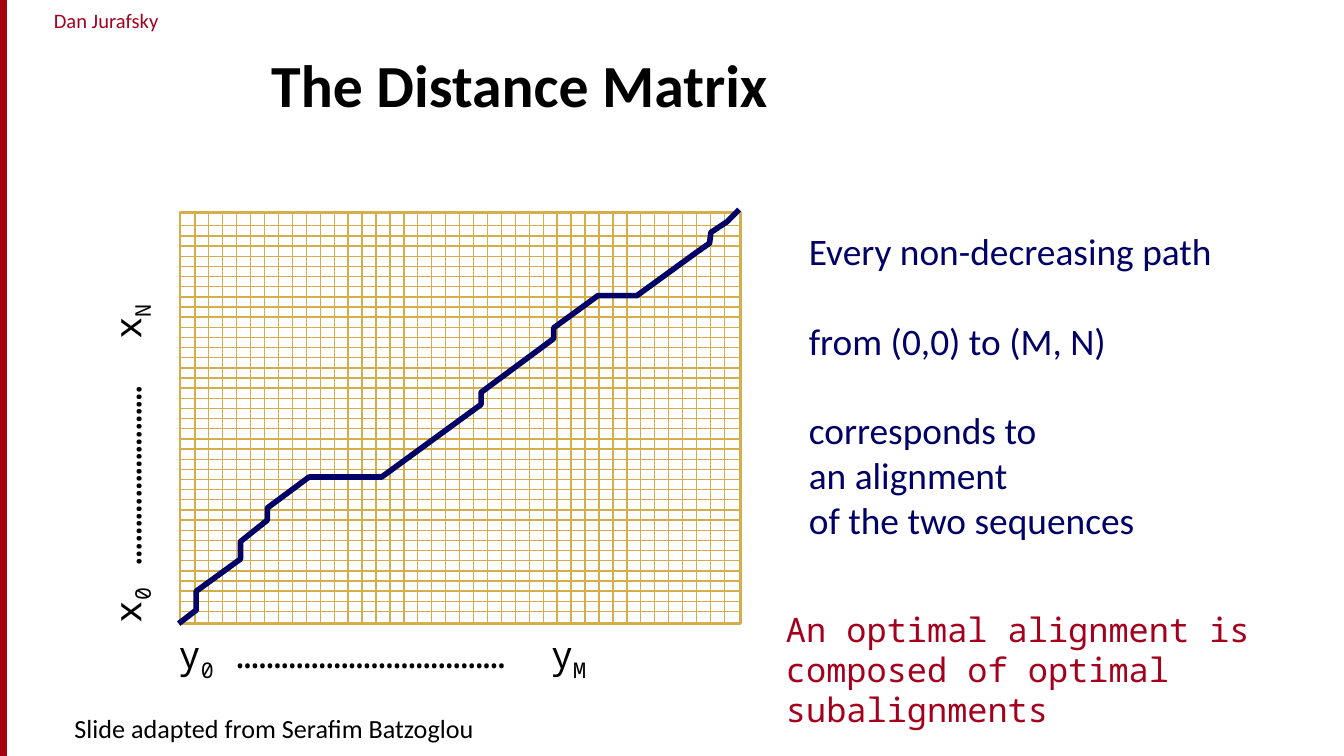
from lxml import etree
from pptx import Presentation
from pptx.dml.color import RGBColor
from pptx.enum.shapes import MSO_CONNECTOR, MSO_SHAPE
from pptx.enum.text import MSO_ANCHOR, PP_ALIGN
from pptx.oxml.ns import qn
from pptx.util import Inches, Pt

BLACK, RED, NAVY, GOLD = "000000", "A4001D", "000066", "D5AE4C"


def color(value):
    return RGBColor.from_string(value)


def add_text(left, top, width, height, paragraphs, size, text_color,
             font="Calibri", bold=False, align=PP_ALIGN.LEFT, tab=None):
    """Each paragraph is (space before, [(text, is subscript), ...])."""
    box = slide.shapes.add_textbox(Inches(left), Inches(top), Inches(width), Inches(height))
    frame = box.text_frame
    frame.word_wrap = True
    for index, (space, runs) in enumerate(paragraphs):
        paragraph = frame.paragraphs[0] if index == 0 else frame.add_paragraph()
        paragraph.alignment = align
        if space:
            paragraph.space_before = Pt(space)
        if tab:
            tabs = etree.SubElement(paragraph._p.get_or_add_pPr(), qn("a:tabLst"))
            etree.SubElement(tabs, qn("a:tab"), pos=str(Inches(tab)), algn="l")
        for text, subscript in runs:
            run = paragraph.add_run()
            run.text = text
            run.font.name = font
            run.font.size = Pt(size)
            run.font.bold = bold
            run.font.color.rgb = color(text_color)
            if subscript:
                run.font._element.set("baseline", "-25000")
    return box


# Widescreen slide, 16 to 9
presentation = Presentation()
presentation.slide_width = Inches(10)
presentation.slide_height = Inches(10) * 9 // 16
slide = presentation.slides.add_slide(presentation.slide_layouts[6])

# Author name and red bar along the left edge
author = add_text(0.08, 0.01, 1.42, 0.28, [(0, [("Dan Jurafsky", False)])],
                  11, RED, align=PP_ALIGN.CENTER)
author.text_frame.margin_left = author.text_frame.margin_right = 0
bar = slide.shapes.add_shape(MSO_SHAPE.RECTANGLE, 0, 0, Inches(0.05),
                             presentation.slide_height)
bar.shadow.inherit = False
bar.fill.solid()
bar.fill.fore_color.rgb = color("A40508")
bar.line.color.rgb = color(RED)
bar.line.width = Pt(0.75)

# Title and credit
title = add_text(1.92, 0, 8, 0.94, [(0, [("The Distance Matrix", False)])],
                 32, BLACK, bold=True)
title.text_frame.vertical_anchor = MSO_ANCHOR.BOTTOM
add_text(0.25, 5.25, 3.58, 0.37, [(0, [("Slide adapted from Serafim Batzoglou", False)])],
         14, BLACK, align=PP_ALIGN.CENTER)

# Matrix frame
left, top, width, height = 1.34, 1.58, 4.17, 3.06
right, bottom = left + width, top + height
frame_box = slide.shapes.add_shape(MSO_SHAPE.RECTANGLE, Inches(left), Inches(top),
                                   Inches(width), Inches(height))
frame_box.shadow.inherit = False
frame_box.fill.background()
frame_box.line.color.rgb = color(GOLD)
frame_box.line.width = Pt(1.5)

# Matrix grid: 39 evenly spaced lines in each direction
line_count = 39
row_step = (4.55 - 1.68) / (line_count - 1)
column_step = (5.39 - 1.45) / (line_count - 1)
rows = [(left, 4.55 - i * row_step, right, 4.55 - i * row_step) for i in range(line_count)]
columns = [(1.45 + i * column_step, bottom, 1.45 + i * column_step, top)
           for i in range(line_count)]
for ends in rows + columns:
    grid_line = slide.shapes.add_connector(MSO_CONNECTOR.STRAIGHT, *[Inches(v) for v in ends])
    grid_line.line.color.rgb = color(GOLD)
    grid_line.line.width = Pt(0.75)
    etree.SubElement(grid_line._element.spPr, qn("a:effectLst"))

# Alignment path through the matrix
path_points = [
    (5.5, 1.56), (5.41, 1.65), (5.29, 1.73), (5.28, 1.81), (5.18, 1.88),
    (4.74, 2.2), (4.45, 2.2), (4.12, 2.44), (4.12, 2.52), (3.58, 2.92),
    (3.58, 3.01), (2.84, 3.55), (2.3, 3.55), (1.99, 3.78), (1.99, 3.87),
    (1.79, 4.03), (1.79, 4.16), (1.46, 4.4), (1.46, 4.54), (1.33, 4.64),
]
corners = [(Inches(x), Inches(y)) for x, y in path_points]
builder = slide.shapes.build_freeform(*corners[0])
builder.add_line_segments(corners[1:], close=False)
alignment_path = builder.convert_to_shape()
alignment_path.shadow.inherit = False
alignment_path.fill.background()
alignment_path.line.color.rgb = color(NAVY)
alignment_path.line.width = Pt(3)

# Axis labels
axes = [
    ("y", "M", 12, 2.77, (1.23, 4.65, 4.37, 0.48), 0),
    ("x", "N", 8, 2.11, (-0.66, 2.87, 3.25, 0.48), 270),
]
for letter, last, dots, tab, place, rotation in axes:
    runs = [(letter, False), ("0", True), (" " + "…" * dots + "\t" + letter, False), (last, True)]
    label = add_text(*place, [(0, runs)], 20, BLACK, font="Noto Sans Mono", tab=tab)
    label.rotation = rotation

# Explanation
explanation = [
    (0, "Every non-decreasing path"),
    (24, "from (0,0) to (M, N)"),
    (24, "corresponds to"),
    (0, "an alignment"),
    (0, "of the two sequences"),
]
add_text(5.92, 1.65, 3.67, 3.17,
         [(space, [(text, False)]) for space, text in explanation], 20, NAVY)
conclusion = "An optimal alignment is composed of optimal subalignments"
add_text(5.75, 4.48, 4.16, 1, [(0, [(conclusion, False)])], 18, RED, font="Noto Sans Mono")

presentation.save("out.pptx")
